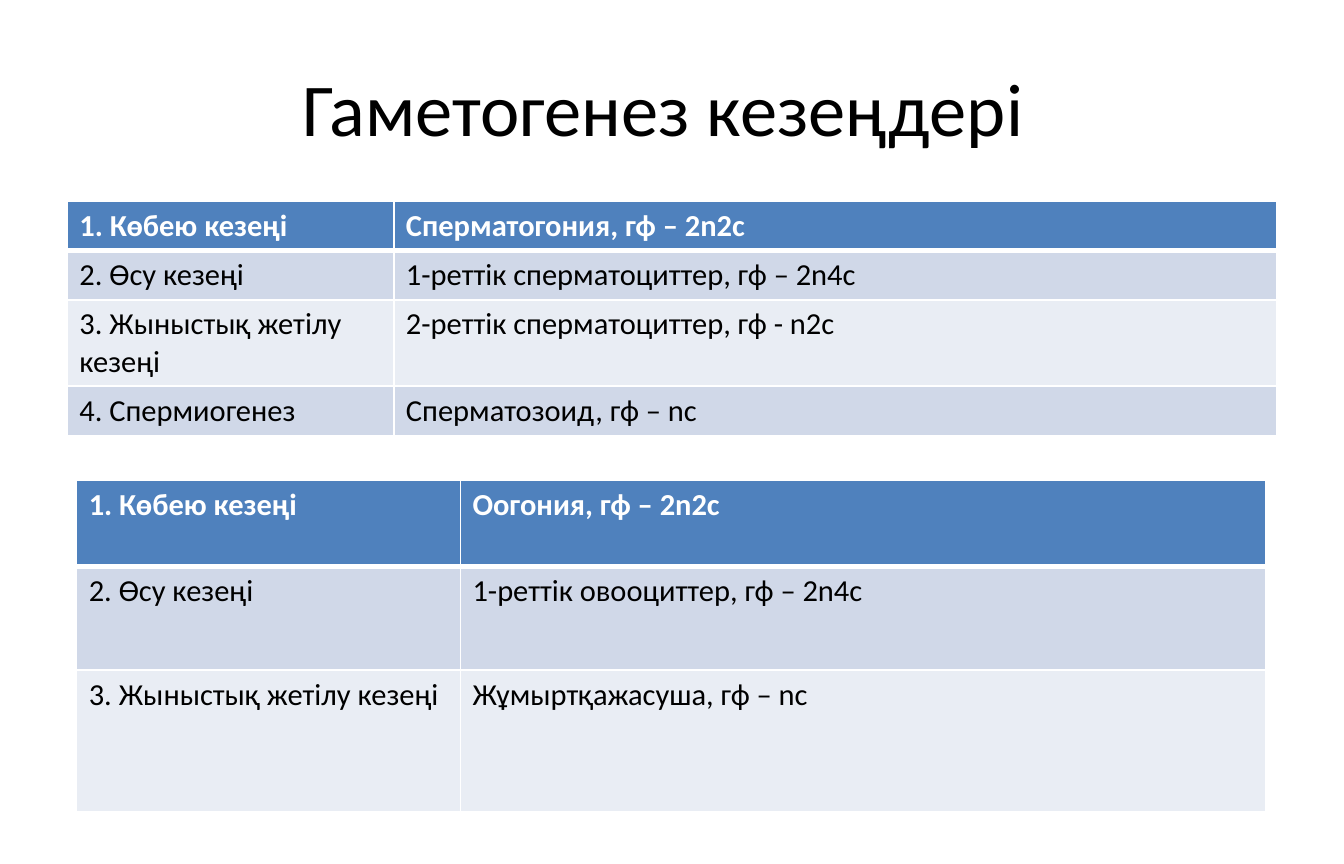
from pptx import Presentation
from pptx.dml.color import RGBColor as RGB
from pptx.enum.text import MSO_ANCHOR as Anchor, PP_ALIGN as Align
from pptx.oxml import parse_xml
from pptx.oxml.ns import nsdecls
from pptx.util import Cm, Pt

THEME = {
    "font": "Calibri", "title_size": 44, "cell_size": 18,
    "text": "000000", "header_text": "FFFFFF", "border": "FFFFFF",
    "header": "4F81BD", "bands": ("D0D8E8", "E9EDF4"),
}

deck = Presentation()
deck.slide_width = Cm(28)
deck.slide_height = Cm(18)
# The default template marks its size as 4:3, which no longer holds
deck.element.sldSz.attrib.pop("type", None)
slide = deck.slides.add_slide(deck.slide_layouts[6])


def share(across, down):
    """Turn percentages of the slide's width and height into lengths."""
    return int(deck.slide_width * across / 100), int(deck.slide_height * down / 100)


def add_text(frame, text, size, color, bold=False):
    run = frame.paragraphs[0].add_run()
    run.text = text
    run.font.name = THEME["font"]
    run.font.size = Pt(size)
    run.font.bold = bold
    run.font.color.rgb = RGB.from_string(color)


# Title
heading = slide.shapes.add_textbox(*share(5, 4), *share(90, 16.67)).text_frame
heading.word_wrap = True
heading.vertical_anchor = Anchor.MIDDLE
heading.paragraphs[0].alignment = Align.CENTER
add_text(heading, "Гаметогенез кезеңдері ", THEME["title_size"], THEME["text"])

# Stages: place, column widths and row heights in percent of the slide
spermatogenesis = {
    "at": (5, 23.3), "columns": (24.3, 65.7), "rows": (5.7, 5.7, 10, 5.7),
    "stages": [
        ("1. Көбею кезеңі", "Сперматогония, гф – 2n2c"),
        ("2. Өсу кезеңі", "1-реттік сперматоциттер, гф – 2n4с"),
        ("3. Жыныстық жетілу кезеңі", "2-реттік сперматоциттер, гф - n2с"),
        ("4. Спермиогенез", "Сперматозоид, гф – nс"),
    ],
}
oogenesis = {
    "at": (5.7, 55.55), "columns": (28.55, 59.95), "rows": (10, 12, 16.4),
    "stages": [
        ("1. Көбею кезеңі", "Оогония, гф – 2n2c"),
        ("2. Өсу кезеңі", "1-реттік овооциттер, гф – 2n4с"),
        ("3. Жыныстық жетілу кезеңі", "Жұмыртқажасуша, гф – nс"),
    ],
}

# Tables
for process in (spermatogenesis, oogenesis):
    columns, rows = process["columns"], process["rows"]
    table = slide.shapes.add_table(
        len(rows), len(columns), *share(*process["at"]), *share(sum(columns), sum(rows))
    ).table
    for column, width in zip(table.columns, columns):
        column.width = share(width, 0)[0]
    for row, height in zip(table.rows, rows):
        row.height = share(0, height)[1]

    for r, stage in enumerate(process["stages"]):
        is_header = r == 0
        fill = THEME["header"] if is_header else THEME["bands"][(r - 1) % 2]
        color = THEME["header_text"] if is_header else THEME["text"]
        # The line under the header is thick on both sides of the shared edge
        widths = {"L": 1, "R": 1, "T": 3 if r == 1 else 1, "B": 3 if is_header else 1}
        for c, text in enumerate(stage):
            cell = table.cell(r, c)
            add_text(cell.text_frame, text, THEME["cell_size"], color, is_header)
            for side, points in widths.items():
                cell._tc.get_or_add_tcPr().append(parse_xml(
                    f'<a:ln{side} {nsdecls("a")} w="{Pt(points)}"><a:solidFill>'
                    f'<a:srgbClr val="{THEME["border"]}"/></a:solidFill></a:ln{side}>'
                ))
            cell.fill.solid()
            cell.fill.fore_color.rgb = RGB.from_string(fill)

deck.save("out.pptx")
